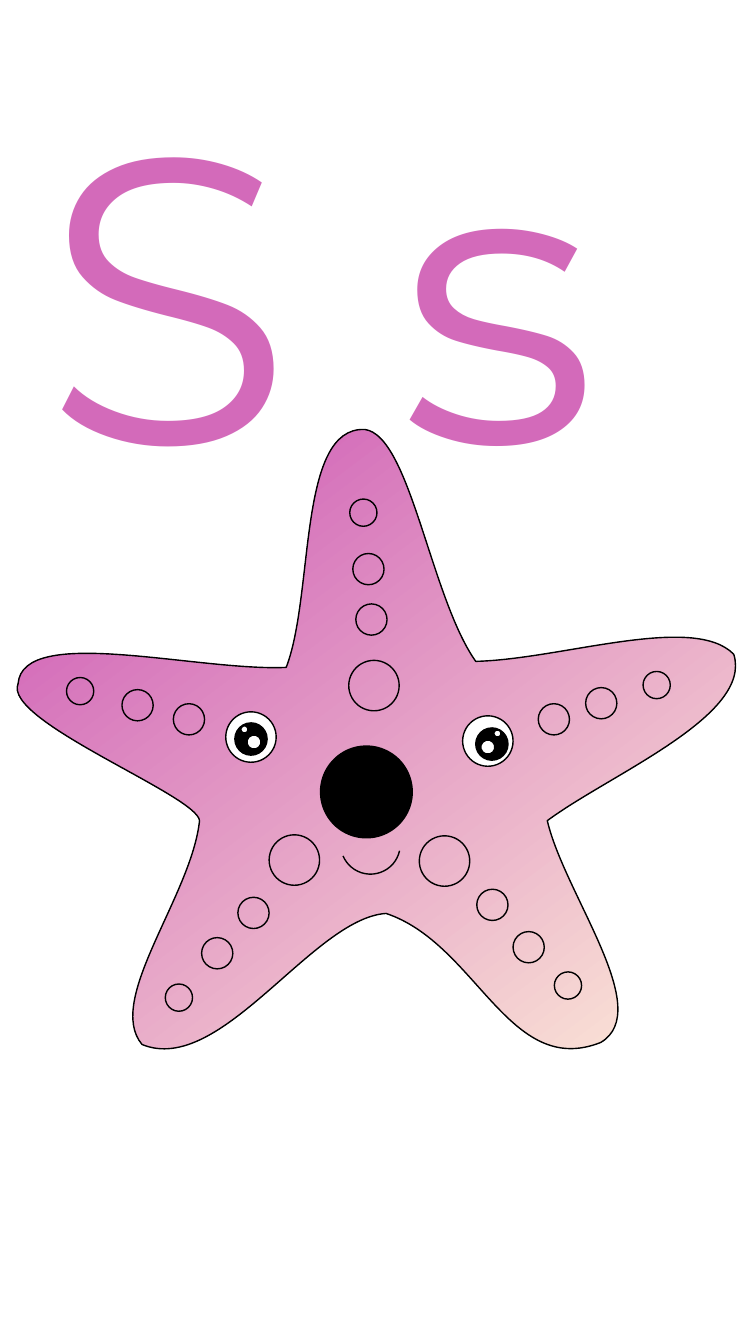
"""Draw the letter S card with a smiling starfish."""
from typing import NamedTuple, Optional

from lxml.etree import SubElement
from pptx import Presentation
from pptx.dml.color import RGBColor
from pptx.enum.shapes import MSO_SHAPE
from pptx.enum.text import MSO_ANCHOR, MSO_AUTO_SIZE, PP_ALIGN
from pptx.oxml.ns import qn
from pptx.util import Inches, Pt

BLACK = RGBColor(0x00, 0x00, 0x00)
WHITE = RGBColor(0xFF, 0xFF, 0xFF)
PINK = RGBColor(0xD3, 0x6A, 0xBA)
CREAM = RGBColor(0xFB, 0xE5, 0xD6)
PURPLE = RGBColor(0xCB, 0x51, 0xB4)

LARGE, MID, SMALL = 0.5, 0.31, 0.27
TILT = 15.5


class Dot(NamedTuple):
    """A circle by its top left corner and width."""
    left: float
    top: float
    size: float
    fill: Optional[RGBColor] = None


class Curve(NamedTuple):
    """A cubic curve: two control points and an end."""
    first: tuple[float, float]
    second: tuple[float, float]
    end: tuple[float, float]


START = (0.18, 6.78)
BODY = [
    Curve((0.23, 6.19), (1.96, 6.66), (2.84, 6.62)),
    Curve((3.12, 5.89), (2.95, 4.23), (3.62, 4.26)),
    Curve((4.07, 4.32), (4.27, 5.92), (4.72, 6.56)),
    Curve((5.57, 6.54), (6.88, 6.08), (7.28, 6.49)),
    Curve((7.47, 7.1), (6.05, 7.68), (5.43, 8.14)),
    Curve((5.6, 8.87), (6.5, 10.02), (5.96, 10.34)),
    Curve((5.05, 10.7), (4.73, 9.36), (3.83, 9.06)),
    Curve((3.1, 9.11), (2.19, 10.68), (1.41, 10.36)),
    Curve((1.04, 9.92), (1.9, 8.89), (1.98, 8.14)),
    Curve((1.96, 7.89), (0.02, 7.15), START),
]

NOSE = Dot(3.18, 7.4, 0.91, BLACK)
SPOTS = {
    LARGE: [(3.46, 6.55), (2.67, 8.28), (4.16, 8.29)],
    MID: [(4.73, 8.82), (2.36, 8.9), (1.72, 6.98), (3.53, 5.99), (5.34, 6.98),
          (5.81, 6.82), (3.5, 5.49), (1.21, 6.84), (2, 9.3), (5.09, 9.24)],
    SMALL: [(6.38, 6.66), (5.5, 9.64), (3.47, 4.95), (0.66, 6.72), (1.64, 9.76)],
}
EYES = [
    Dot(2.24, 7.06, LARGE, WHITE),
    Dot(2.33, 7.17, 0.32, BLACK),
    Dot(2.45, 7.29, 0.14, WHITE),
    Dot(2.39, 7.2, 0.07, WHITE),
    Dot(4.59, 7.1, LARGE, WHITE),
    Dot(4.72, 7.22, 0.32, BLACK),
    Dot(4.77, 7.34, 0.14, WHITE),
    Dot(4.9, 7.24, 0.07, WHITE),
]


def write(shape, text: str, *, size: float, font: str, color: RGBColor) -> None:
    """Put formatted text in a shape, from its top left."""
    frame = shape.text_frame
    frame.text = text
    frame.word_wrap = True
    frame.auto_size = MSO_AUTO_SIZE.NONE
    frame.vertical_anchor = MSO_ANCHOR.TOP
    line = frame.paragraphs[0]
    line.alignment = PP_ALIGN.LEFT
    face = line.runs[0].font
    face.size, face.name = Pt(size), font
    face.color.rgb = color


def ink(shape) -> None:
    """Give a shape a thin black line and no shadow."""
    shape.shadow.inherit = False
    shape.line.color.rgb = BLACK
    shape.line.width = Pt(1)


def bend(shape, curves: list[Curve]) -> None:
    """Turn the straight sides of a freeform into curves."""
    sides = list(shape._element.iter(qn("a:lnTo")))
    for side, curve in zip(sides, curves):
        arc = SubElement(side.getparent(), qn("a:cubicBezTo"))
        for x, y in curve:
            SubElement(arc, qn("a:pt"), x=str(Inches(x) - shape.left),
                       y=str(Inches(y) - shape.top))
        side.getparent().replace(side, arc)


def draw_star(shapes) -> None:
    """Draw the shaded starfish body."""
    pen = shapes.build_freeform(Inches(START[0]), Inches(START[1]))
    ends = [(Inches(x), Inches(y)) for x, y in (curve.end for curve in BODY)]
    pen.add_line_segments(ends, close=True)
    star = pen.convert_to_shape()
    bend(star, BODY)
    ink(star)
    star.fill.gradient()
    star.fill.gradient_angle = 127
    for stop, place, color in zip(star.fill.gradient_stops, (0.03, 1), (CREAM, PURPLE)):
        stop.position = place
        stop.color.rgb = color


def draw_dot(shapes, dot: Dot) -> None:
    """Draw one circle, hollow if it has no fill."""
    side = Inches(dot.size)
    shape = shapes.add_shape(MSO_SHAPE.OVAL, Inches(dot.left), Inches(dot.top), side, side)
    shape.rotation = TILT
    ink(shape)
    if dot.fill is None:
        shape.fill.background()
    else:
        shape.fill.solid()
        shape.fill.fore_color.rgb = dot.fill


def draw_smile(shapes) -> None:
    """Draw the mouth as an arc."""
    side = Inches(0.59)
    smile = shapes.add_shape(MSO_SHAPE.ARC, Inches(3.38), Inches(8.08), side, side)
    smile.rotation = 130.3
    smile.adjustments[0], smile.adjustments[1] = 145.21, 16.13
    smile.fill.background()
    ink(smile)


def main() -> None:
    """Build and save the card."""
    deck = Presentation()
    deck.slide_width, deck.slide_height = Inches(7.5), Inches(13.33)
    slide = deck.slides.add_slide(deck.slide_layouts[5])
    shapes = slide.shapes
    title = shapes.title
    title.left, title.top = Inches(0.33), Inches(0.33)
    title.width, title.height = Inches(7.1), Inches(4.98)
    write(title, "S s", size=290, font="Montserrat", color=PINK)
    draw_star(shapes)
    spots = [Dot(x, y, size) for size, places in SPOTS.items() for x, y in places]
    for dot in [NOSE, *spots, *EYES]:
        draw_dot(shapes, dot)
    draw_smile(shapes)
    deck.save("out.pptx")


if __name__ == "__main__":
    main()
